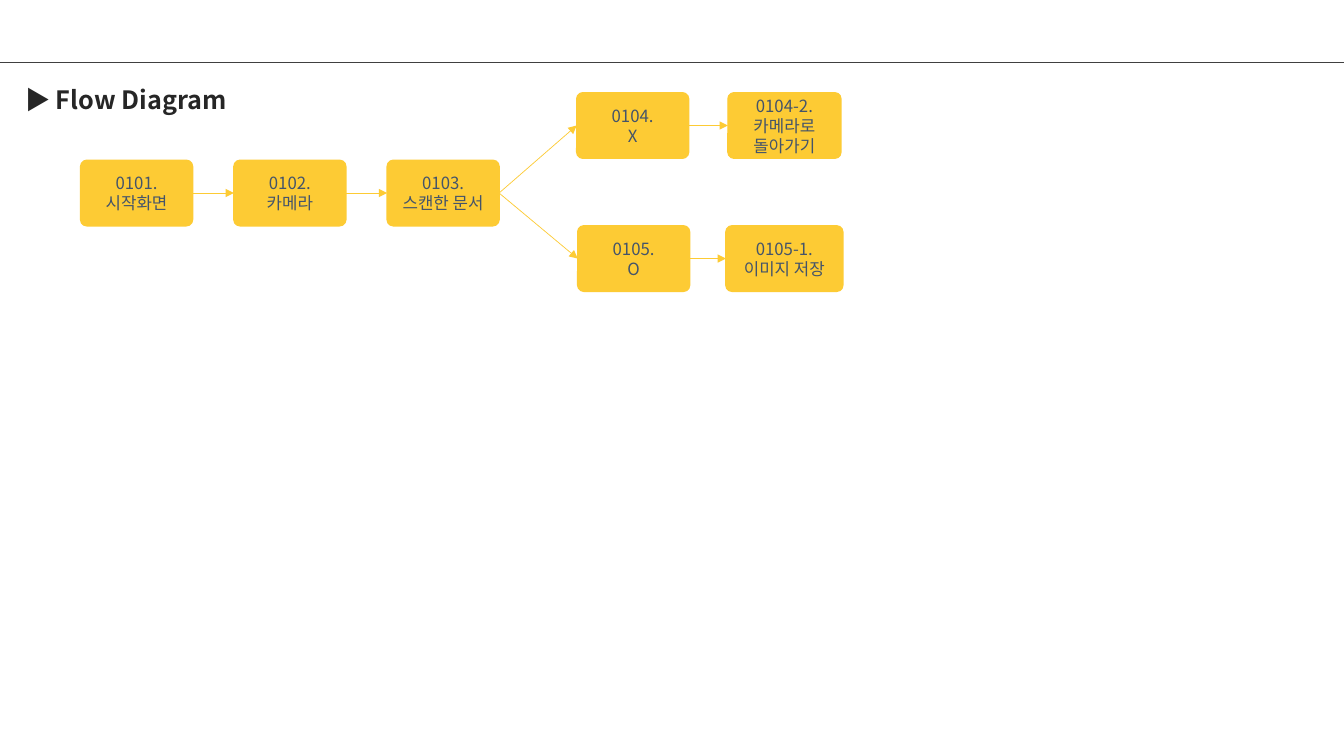
from dataclasses import dataclass

from lxml import etree
from pptx import Presentation
from pptx import util as u
from pptx.dml.color import RGBColor
from pptx.enum import shapes, text
from pptx.oxml import ns


@dataclass(frozen=True)
class Theme:
    font: str = "Noto Sans CJK KR"
    title_size: int = 18
    step_size: int = 12
    title: str = "262626"
    step_text: str = "44546A"
    accent: str = "FDCB34"
    rule: str = "404040"


THEME = Theme()
STEP_WIDTH, STEP_HEIGHT = 1.11, 0.65
CORNER = 0.093
RIGHT_SIDE, LEFT_SIDE = 3, 1

# Step number: (left, top, width, label lines), measured from the diagram box
STEPS = {
    "0101": (0, 0.67, STEP_WIDTH, ["시작화면"]),
    "0102": (1.52, 0.67, STEP_WIDTH, ["카메라"]),
    "0103": (3.04, 0.67, STEP_WIDTH, ["스캔한 문서"]),
    "0104": (4.92, 0, STEP_WIDTH, ["X"]),
    "0104-2": (6.42, 0, 1.12, ["카메라로", "돌아가기"]),
    "0105": (4.93, 1.32, STEP_WIDTH, ["O"]),
    "0105-1": (6.4, 1.32, 1.16, ["이미지 저장"]),
}
FLOWS = [("0101", "0102"), ("0102", "0103"), ("0103", "0104"),
         ("0103", "0105"), ("0104", "0104-2"), ("0105", "0105-1")]


def add_text(paragraph, words, size, color, bold=False):
    run = paragraph.add_run()
    run.text = words
    run.font.name = THEME.font
    run.font.size = u.Pt(size)
    run.font.bold = bold
    run.font.color.rgb = RGBColor.from_string(color)
    # Korean letters take the East Asian font
    east_asian = etree.SubElement(run.font._element, ns.qn("a:ea"))
    east_asian.set("typeface", THEME.font)


def add_line(slide, start, end, color, arrow=False):
    line = slide.shapes.add_connector(
        shapes.MSO_CONNECTOR.STRAIGHT,
        *(u.Inches(value) for value in (*start, *end)))
    line.line.color.rgb = RGBColor.from_string(color)
    line.line.width = u.Pt(0.5)
    if arrow:
        outline = line.line._get_or_add_ln()
        etree.SubElement(outline, ns.qn("a:tailEnd")).set("type", "triangle")
    etree.SubElement(line._element.spPr, ns.qn("a:effectLst"))
    return line


def add_header(slide, left, top, width, height):
    # Rule across the slide
    add_line(slide, (0, 0.62), (13.33, 0.62), THEME.rule)
    # Title
    title = slide.shapes.add_textbox(*map(u.Inches, (left, top, width, height)))
    title.text_frame.word_wrap = True
    add_text(title.text_frame.paragraphs[0], "▶ Flow Diagram",
             THEME.title_size, THEME.title, bold=True)


def add_step(slide, left, top, width, lines):
    step = slide.shapes.add_shape(
        shapes.MSO_SHAPE.ROUNDED_RECTANGLE,
        *map(u.Inches, (left, top, width, STEP_HEIGHT)))
    step.adjustments[0] = CORNER
    step.shadow.inherit = False
    step.fill.solid()
    step.fill.fore_color.rgb = RGBColor.from_string(THEME.accent)
    step.line.color.rgb = RGBColor.from_string(THEME.accent)
    step.line.width = u.Pt(1)
    frame = step.text_frame
    frame.word_wrap = True
    frame.vertical_anchor = text.MSO_ANCHOR.MIDDLE
    for index, words in enumerate(lines):
        paragraph = frame.add_paragraph() if index else frame.paragraphs[0]
        paragraph.alignment = text.PP_ALIGN.CENTER
        add_text(paragraph, words, THEME.step_size, THEME.step_text)
    return step


def add_flow_diagram(slide, left, top):
    # Steps
    steps = {
        number: add_step(slide, left + x, top + y, width, [f"{number}.", *label])
        for number, (x, y, width, label) in STEPS.items()
    }
    # Arrows between the steps
    for source, target in FLOWS:
        arrow = add_line(slide, (left, top), (left, top), THEME.accent, arrow=True)
        arrow.begin_connect(steps[source], RIGHT_SIDE)
        arrow.end_connect(steps[target], LEFT_SIDE)


def main():
    presentation = Presentation()
    presentation.slide_width = u.Inches(13.33)
    presentation.slide_height = u.Inches(7.5)
    slide = presentation.slides.add_slide(presentation.slide_layouts[6])
    add_header(slide, 0.15, 0.79, 3.55, 0.46)
    add_flow_diagram(slide, 0.8, 0.92)
    presentation.save("out.pptx")


if __name__ == "__main__":
    main()
